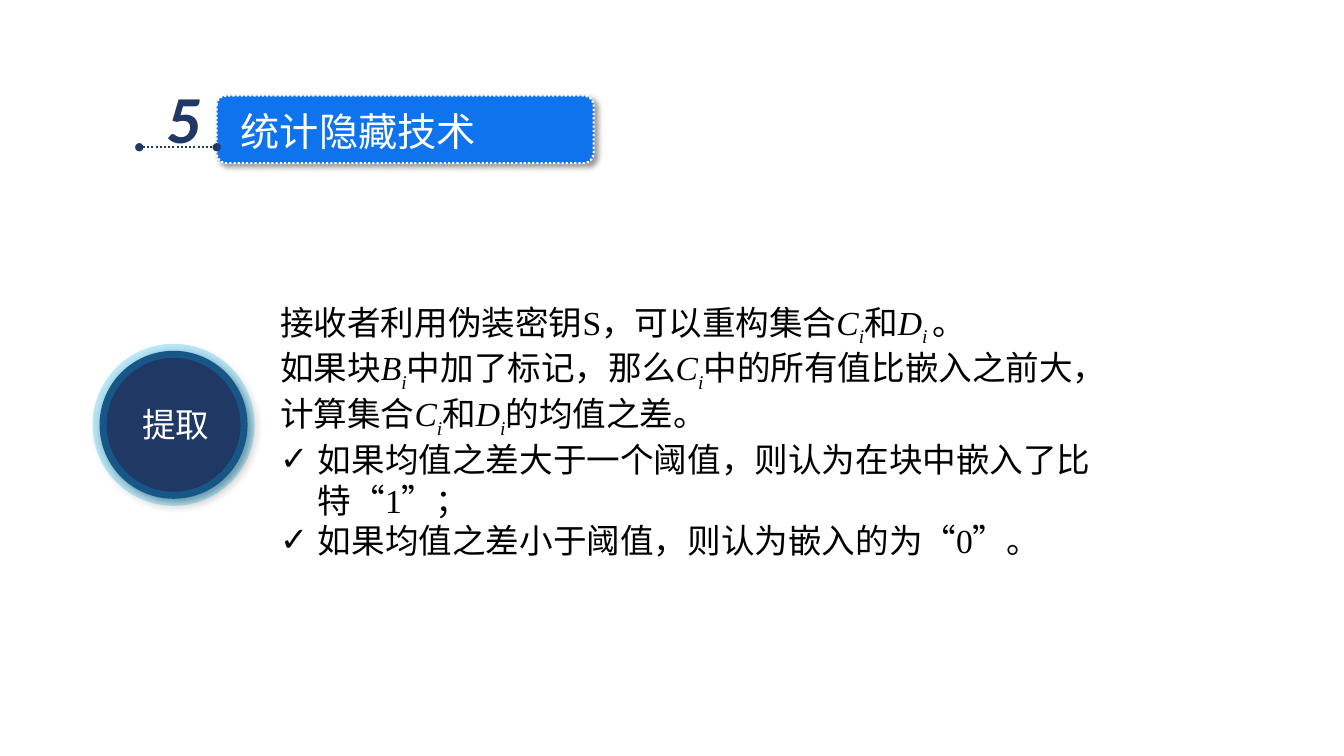
from lxml.etree import SubElement as Sub
from pptx import Presentation
from pptx.dml.color import RGBColor as Rgb
from pptx.enum.dml import MSO_LINE as Dash
from pptx.enum.shapes import MSO_CONNECTOR as Link, MSO_SHAPE as Kind
from pptx.enum.text import MSO_ANCHOR as Anchor, MSO_AUTO_SIZE as Fit, PP_ALIGN as Align
from pptx.oxml.ns import qn
from pptx.util import Cm, Pt

HUE = {"navy": "203864", "blue": "0F73EE", "ring": "00B0F0",
       "white": "FFFFFF", "black": "000000"}
SANS = "Noto Sans CJK SC"
SERIF = "Times New Roman"
LINES = ["接收者利用伪装密钥S，可以重构集合|C|和|D |。",
         "如果块|B|中加了标记，那么|C|中的所有值比嵌入之前大，计算集合|C|和|D|的均值之差。"]
CASES = ["如果均值之差大于一个阈值，则认为在块中嵌入了比特“1”；",
         "如果均值之差小于阈值，则认为嵌入的为“0”。"]


def put(para, text, size=24, font=SANS, hue="white", bold=False, ital=False, base=0):
    """Add a formatted run to a paragraph."""
    run = para.add_run()
    run.text = text
    face = run.font
    face.size, face.name, face.bold, face.italic = Pt(size), font, bold, ital
    face.color.rgb = Rgb.from_string(HUE[hue])
    prop = face._element
    prop.set("lang", "zh-CN")
    if base:
        prop.set("baseline", str(base * 1000))
    Sub(prop, qn("a:ea"), typeface=SANS)


def place(item, x, y, wide, high):
    """Move a shape to a box given in centimetres."""
    item.left, item.top, item.width, item.height = map(Cm, (x, y, wide, high))


def frame(item, wrap=False, anchor=Anchor.MIDDLE):
    """Prepare the text frame of a shape and return its first paragraph."""
    box = item.text_frame
    box.auto_size, box.word_wrap, box.vertical_anchor = Fit.NONE, wrap, anchor
    for side in ("left", "right"):
        setattr(box, "margin_" + side, Cm(0.25))
    return box.paragraphs[0]


def label(slide, text, x, y, wide, high, **form):
    """Add a text box with one centred run."""
    para = frame(slide.shapes.add_textbox(*map(Cm, (x, y, wide, high))))
    para.alignment = Align.CENTER
    put(para, text, **form)


def fade(fill, share):
    """Make a solid fill partly transparent."""
    tone = fill._xPr.find(qn("a:solidFill"))[0]
    Sub(tone, qn("a:alpha"), val=str(share * 1000))


def solid(slide, kind, x, y, wide, high, hue, shade=False):
    """Add a filled shape without a line, with a shadow if asked."""
    item = slide.shapes.add_shape(kind, *map(Cm, (x, y, wide, high)))
    item.fill.solid()
    item.fill.fore_color.rgb = Rgb.from_string(HUE[hue])
    item.line.fill.background()
    item.shadow.inherit = False
    if shade:
        glow = Sub(item._element.spPr.find(qn("a:effectLst")), qn("a:outerShdw"),
                   blurRad=str(Pt(4)), dist=str(Pt(3)), dir="2700000",
                   algn="tl", rotWithShape="0")
        tone = Sub(glow, qn("a:srgbClr"), val=HUE["black"])
        Sub(tone, qn("a:alpha"), val="40000")
    return item


def stroke(line, hue, wide, dash=None):
    """Format a line."""
    line.color.rgb = Rgb.from_string(HUE[hue])
    line.width = Pt(wide)
    if dash:
        line.dash_style = dash


def raise_up(item):
    """Bring a placeholder to the front."""
    item._element.getparent().append(item._element)


def header(slide, x, y, wide, high):
    """Draw the numbered banner with the slide title."""
    bar = solid(slide, Kind.ROUNDED_RECTANGLE, x, y, wide, high, "blue", True)
    bar.adjustments[0] = 0.14
    stroke(bar.line, "white", 1.5, Dash.ROUND_DOT)
    title = slide.shapes.title
    place(title, x + 0.36, y + 0.15, 6.5, 1.45)
    para = frame(title)
    para.alignment = Align.LEFT
    put(para, "统计隐藏技术", size=28)
    raise_up(title)
    label(slide, "5", x - 1.52, y - 0.63, 1.37, 2.31,
          size=48, font="Calibri", hue="navy", bold=True, ital=True)
    rule = y + 1.3
    wire = slide.shapes.add_connector(Link.STRAIGHT, Cm(x - 1.95), Cm(rule), Cm(x), Cm(rule))
    stroke(wire.line, "navy", 1.5, Dash.ROUND_DOT)
    for end in ("headEnd", "tailEnd"):
        Sub(wire.line._ln, qn("a:" + end), type="oval")
    Sub(wire._element.spPr, qn("a:effectLst"))


def panel(slide, x, y, wide, high):
    """Draw the pale panel and its explanation."""
    back = solid(slide, Kind.ROUNDED_RECTANGLE, x, y, wide, high, "white")
    back.adjustments[0] = 0.08
    fade(back.fill, 50)
    body = slide.placeholders[1]
    place(body, x + 2.19, y + 0.23, wide - 2.19, 6.4)
    para = frame(body, True, Anchor.TOP)
    for row, text in enumerate(LINES + CASES):
        if row:
            para = body.text_frame.add_paragraph()
        para.level = 1
        para.space_before = para.space_after = Pt(0)
        para.line_spacing = 1.0
        para.alignment = Align.LEFT
        prop = para._p.get_or_add_pPr()
        case = row >= len(LINES)
        gap = Cm(0.95) if case else 0
        prop.set("marL", str(gap))
        prop.set("indent", str(-gap))
        if case:
            Sub(prop, qn("a:buChar"), char="✓")
        else:
            Sub(prop, qn("a:buNone"))
        for spot, part in enumerate(text.split("|")):
            sign = spot % 2 == 1
            put(para, part[0] if sign else part, font=SERIF, hue="black", ital=sign)
            if sign:
                put(para, "i" + part[1:], font=SERIF, hue="black", ital=True, base=-25)
    raise_up(body)


def disc(slide, x, y, size):
    """Draw the round label with its translucent ring."""
    coin = solid(slide, Kind.OVAL, x, y, size, size, "navy", True)
    stroke(coin.line, "ring", 10)
    fade(coin.line.fill, 25)
    label(slide, "提取", x + 0.77, y + 1.22, 2.31, 1.27)


def main():
    """Build and save the slide."""
    deck = Presentation()
    deck.slide_width, deck.slide_height = Cm(33.87), Cm(19.05)
    slide = deck.slides.add_slide(deck.slide_layouts[1])
    header(slide, 5.46, 2.41, 9.5, 1.7)
    panel(slide, 4.62, 7.24, 23.93, 6.93)
    disc(slide, 2.51, 8.84, 3.73)
    deck.save("out.pptx")


if __name__ == "__main__":
    main()
